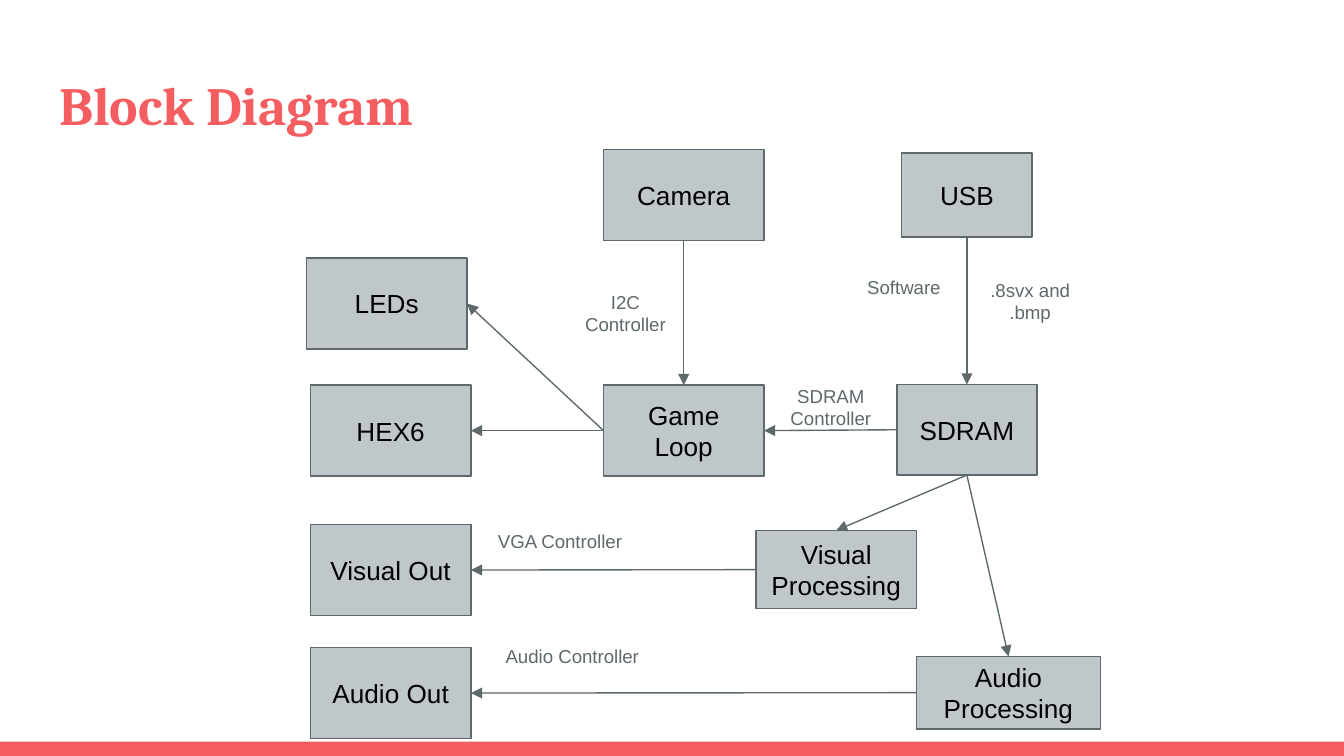
from lxml import etree
from pptx import Presentation
from pptx.dml.color import RGBColor
from pptx.enum.shapes import MSO_CONNECTOR, MSO_SHAPE
from pptx.enum.text import MSO_ANCHOR, MSO_AUTO_SIZE, PP_ALIGN
from pptx.oxml.ns import qn
from pptx.util import Pt

RECTANGLE = MSO_SHAPE.RECTANGLE
STRAIGHT = MSO_CONNECTOR.STRAIGHT
TOP_ANCHOR, MIDDLE_ANCHOR = MSO_ANCHOR.TOP, MSO_ANCHOR.MIDDLE
FIT_SHAPE, NO_FIT = MSO_AUTO_SIZE.SHAPE_TO_FIT_TEXT, MSO_AUTO_SIZE.NONE
LEFT_ALIGN, CENTER = PP_ALIGN.LEFT, PP_ALIGN.CENTER

CORAL = RGBColor(0xF5, 0x5E, 0x61)
BLOCK_GRAY = RGBColor(0xBF, 0xC7, 0xCA)
SLATE = RGBColor(0x5E, 0x69, 0x6C)
BLACK = RGBColor(0, 0, 0)
WHITE = RGBColor(0xFF, 0xFF, 0xFF)

SLIDE_WIDTH, SLIDE_HEIGHT = 720, 405
FOOTER_TOP = 397.3
INSET = 7.2
TOP, LEFT, BOTTOM, RIGHT = range(4)

TITLE = ("Block Diagram", (24.5, 31, 671, 49))
STANDARD_BLOCK = (86, 48.8)
BLOCKS = {
    "Camera": (323.3, 80, *STANDARD_BLOCK),
    "USB": (483, 82, 70, 45),
    "LEDs": (164.2, 138.2, *STANDARD_BLOCK),
    "HEX6": (166.3, 206.3, *STANDARD_BLOCK),
    "Game Loop": (323.3, 206.3, *STANDARD_BLOCK),
    "SDRAM": (480.5, 206, 75, 48.5),
    "Visual Out": (166.3, 281, *STANDARD_BLOCK),
    "Visual Processing": (405, 284.2, 86, 42),
    "Audio Out": (166.3, 346.9, *STANDARD_BLOCK),
    "Audio Processing": (491, 351.7, 98.6, 38.8),
}
FLOWS = [
    ("USB", BOTTOM, "SDRAM", TOP),
    ("Camera", BOTTOM, "Game Loop", TOP),
    ("SDRAM", LEFT, "Game Loop", RIGHT),
    ("Game Loop", LEFT, "HEX6", RIGHT),
    ("Game Loop", LEFT, "LEDs", RIGHT),
    ("SDRAM", BOTTOM, "Visual Processing", TOP),
    ("SDRAM", BOTTOM, "Audio Processing", TOP),
    ("Visual Processing", LEFT, "Visual Out", RIGHT),
    ("Audio Processing", LEFT, "Audio Out", RIGHT),
]
FLOW_LABELS = [
    ("Software", (455, 141.8, 58.5, 26.6)),
    (".8svx and .bmp", (522.6, 142.2, 58.5, 38.6)),
    ("I2C Controller", (305.8, 148.6, 58.5, 38.6)),
    ("SDRAM Controller", (415.8, 199, 58.5, 38.6)),
    ("VGA Controller", (257, 277.9, 86, 26.6)),
    ("Audio Controller", (252.2, 339.7, 108.7, 26.6)),
]


def write(shape, text, size, color, font="Arial", bold=False,
          align=CENTER, anchor=TOP_ANCHOR, fit=NO_FIT):
    """Fill a shape with one formatted run."""
    frame = shape.text_frame
    frame.word_wrap = True
    frame.auto_size = fit
    frame.vertical_anchor = anchor
    frame.margin_left = frame.margin_right = Pt(INSET)
    frame.margin_top = frame.margin_bottom = Pt(INSET)
    paragraph = frame.paragraphs[0]
    paragraph.alignment = align
    run = paragraph.add_run()
    run.text = text
    run.font.name = font
    run.font.size = Pt(size)
    run.font.bold = bold
    run.font.color.rgb = color


def add_rectangle(slide, box, fill):
    """Add a flat rectangle without an outline."""
    rectangle = slide.shapes.add_shape(RECTANGLE, *map(Pt, box))
    rectangle.shadow.inherit = False
    rectangle.fill.solid()
    rectangle.fill.fore_color.rgb = fill
    rectangle.line.fill.background()
    return rectangle


def add_block(slide, name, box):
    """Add one outlined, labelled block."""
    block = add_rectangle(slide, box, BLOCK_GRAY)
    block.line.color.rgb = SLATE
    block.line.width = Pt(0.75)
    write(block, name, 14, BLACK, anchor=MIDDLE_ANCHOR)
    return block


def add_flow(slide, source, source_side, target, target_side):
    """Join two blocks with an arrow."""
    flow = slide.shapes.add_connector(STRAIGHT, 0, 0, 0, 0)
    flow.begin_connect(source, source_side)
    flow.end_connect(target, target_side)
    flow.line.color.rgb = SLATE
    flow.line.width = Pt(0.75)
    etree.SubElement(flow.line._get_or_add_ln(), qn("a:tailEnd"), type="triangle")
    etree.SubElement(flow._element.spPr, qn("a:effectLst"))


def main():
    """Build and save the block diagram slide."""
    deck = Presentation()
    deck.slide_width, deck.slide_height = Pt(SLIDE_WIDTH), Pt(SLIDE_HEIGHT)
    slide = deck.slides.add_slide(deck.slide_layouts[5])
    slide.background.fill.solid()
    slide.background.fill.fore_color.rgb = WHITE

    heading = slide.shapes.title
    title_text, title_box = TITLE
    heading.left, heading.top, heading.width, heading.height = map(Pt, title_box)
    write(heading, title_text, 28.8, CORAL, "Cambria", True, LEFT_ALIGN)

    footer_box = (0, FOOTER_TOP, SLIDE_WIDTH, SLIDE_HEIGHT - FOOTER_TOP)
    add_rectangle(slide, footer_box, CORAL)

    blocks = {name: add_block(slide, name, box) for name, box in BLOCKS.items()}
    for source, source_side, target, target_side in FLOWS:
        add_flow(slide, blocks[source], source_side, blocks[target], target_side)
    for text, box in FLOW_LABELS:
        label = slide.shapes.add_textbox(*map(Pt, box))
        write(label, text, 10, SLATE, fit=FIT_SHAPE)

    deck.save("out.pptx")


if __name__ == "__main__":
    main()
